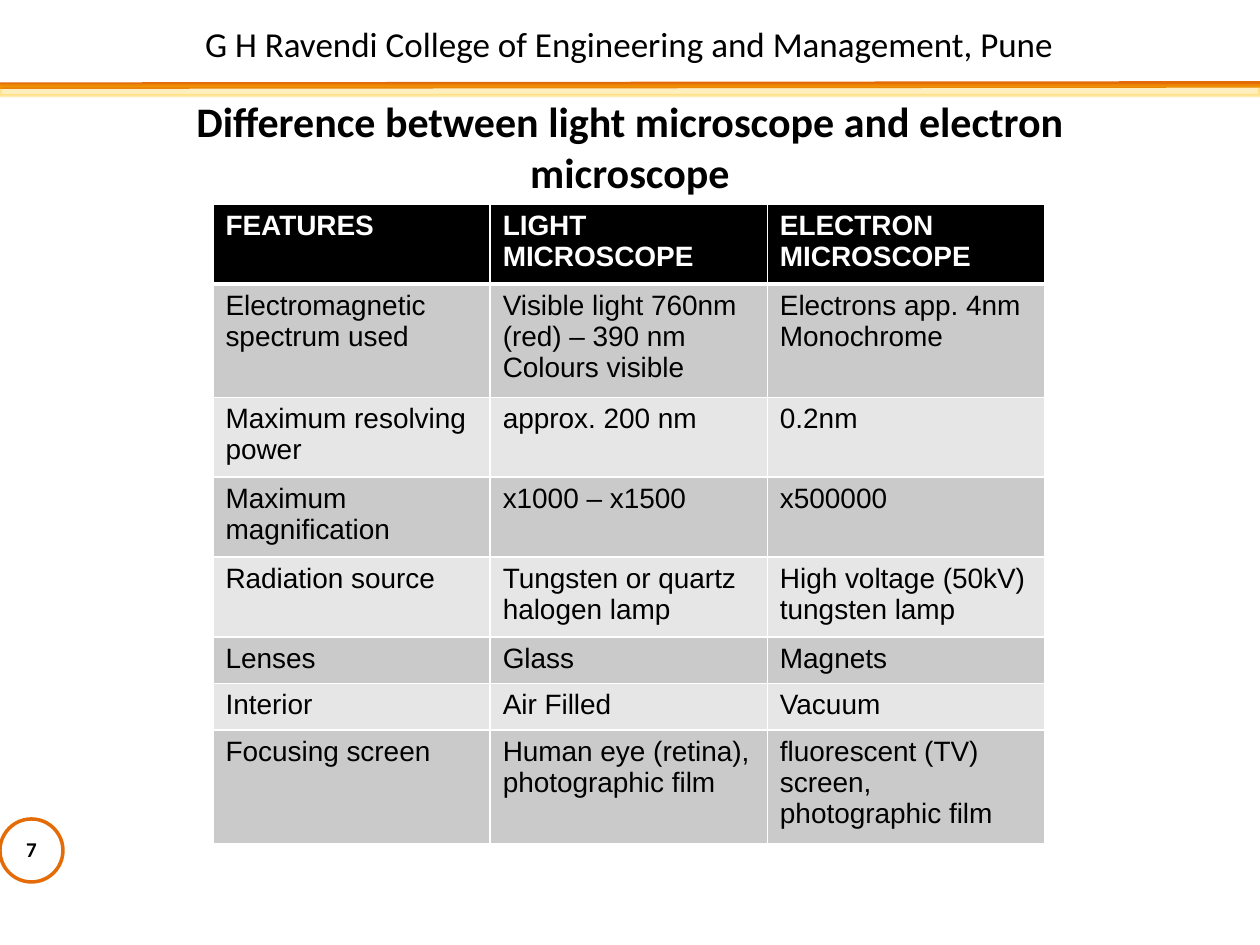
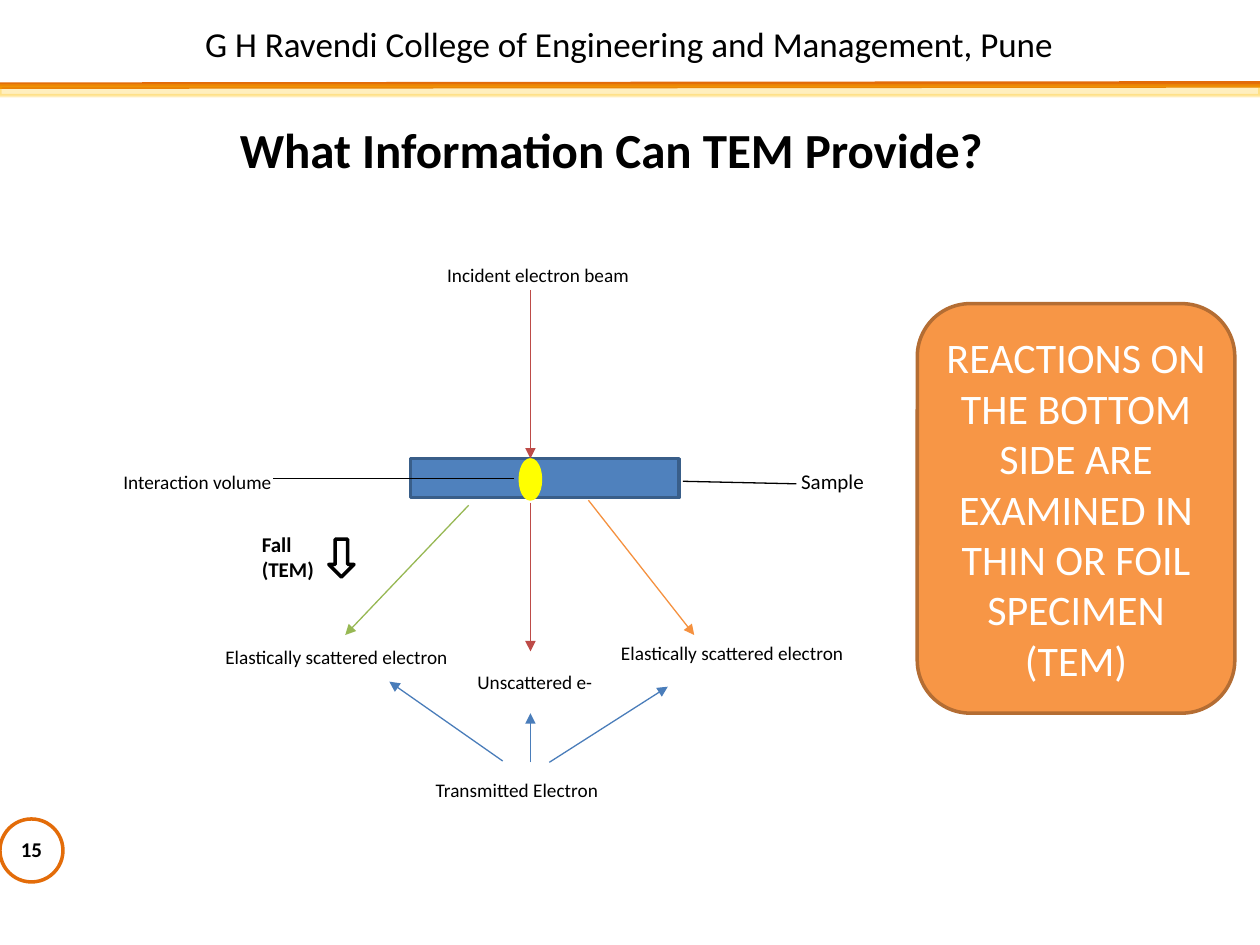
from lxml.etree import SubElement
from pptx import Presentation
from pptx.dml.color import RGBColor
from pptx.enum.shapes import MSO_CONNECTOR, MSO_SHAPE
from pptx.enum.text import MSO_ANCHOR, PP_ALIGN
from pptx.oxml.ns import qn
from pptx.util import Inches, Pt

BLACK = RGBColor(0x00, 0x00, 0x00)
WHITE = RGBColor(0xFF, 0xFF, 0xFF)
RUST = RGBColor(0xE3, 0x6C, 0x09)
GOLD = RGBColor(0xFF, 0xC0, 0x00)
YELLOW = RGBColor(0xFF, 0xFF, 0x00)
BLUE = RGBColor(0x4F, 0x81, 0xBD)
NAVY = RGBColor(0x39, 0x5E, 0x89)
SKY = RGBColor(0x4A, 0x7D, 0xBA)
RED = RGBColor(0xBD, 0x4B, 0x48)
GREEN = RGBColor(0x97, 0xB8, 0x53)
AMBER = RGBColor(0xF5, 0x91, 0x3F)
ORANGE = RGBColor(0xF7, 0x96, 0x46)
BROWN = RGBColor(0xB4, 0x6D, 0x33)
DARK = RGBColor(0xCA, 0xCA, 0xCA)
LIGHT = RGBColor(0xE6, 0xE6, 0xE6)

BODY = {"name": "Calibri", "size": Pt(11), "bold": False}
NOTE = BODY | {"size": Pt(12)}
STRONG = NOTE | {"bold": True}
BANNER = BODY | {"size": Pt(20)}
TITLE = BODY | {"size": Pt(24), "bold": True}
CALL = BODY | {"size": Pt(24)}
CELL = {"name": "Arial", "size": Pt(16), "bold": False}

COLLEGE = "G H Ravendi College of Engineering and Management, Pune"

ROWS = [
    ("FEATURES", "LIGHT MICROSCOPE", "ELECTRON MICROSCOPE"),
    ("Electromagnetic spectrum used",
     "Visible light 760nm (red) – 390 nm Colours visible",
     "Electrons app. 4nm Monochrome"),
    ("Maximum resolving power", "approx. 200 nm", "0.2nm"),
    ("Maximum magnification", "x1000 – x1500", "x500000"),
    ("Radiation source", "Tungsten or quartz halogen lamp",
     "High voltage (50kV) tungsten lamp"),
    ("Lenses", "Glass", "Magnets"),
    ("Interior", "Air Filled", "Vacuum"),
    ("Focusing screen", "Human eye (retina), photographic film",
     "fluorescent (TV) screen, photographic film"),
]
HEIGHTS = [0.62, 0.9, 0.63, 0.63, 0.63, 0.37, 0.37, 0.9]

BEAM = 4.21
RAYS = [
    ((BEAM, 2.3), (BEAM, 3.64), RED),
    ((BEAM, 3.99), (BEAM, 5.17), RED),
    ((4.67, 3.97), (5.51, 5.04), AMBER),
    ((3.72, 4.01), (2.74, 5.04), GREEN),
    ((BEAM, 6.05), (BEAM, 5.66), SKY),
    ((3.99, 6.04), (3.09, 5.41), SKY),
    ((4.36, 6.05), (5.3, 5.45), SKY),
]
LEADS = [((4.08, 3.8), (2.17, 3.8)), ((5.42, 3.82), (6.32, 3.84))]
LABELS = [
    ("Transmitted Electron", (3.36, 6.13, 1.71, 0.29), BODY),
    ("Unscattered e-", (3.69, 5.27, 1.34, 0.29), BODY),
    ("Elastically scattered electron", (4.83, 5.04, 2.39, 0.29), BODY),
    ("Elastically scattered electron", (1.69, 5.07, 2.44, 0.29), BODY),
    ("Sample", (6.26, 3.67, 1.34, 0.3), NOTE),
    ("Incident electron beam", (3.45, 2.04, 2.44, 0.29), BODY),
    ("Interaction volume", (0.88, 3.68, 1.42, 0.29), BODY),
    ("Fall (TEM)", (1.98, 4.17, 0.87, 0.5), STRONG),
]


def inches(nums):
    return [Inches(n) for n in nums]


def write(frame, text, fmt, color=BLACK, align=PP_ALIGN.LEFT):
    frame.word_wrap = True
    para = frame.paragraphs[0]
    para.alignment = align
    run = para.add_run()
    run.text = text
    for key, value in fmt.items():
        setattr(run.font, key, value)
    run.font.color.rgb = color


def label(slide, text, box, fmt, align=PP_ALIGN.LEFT):
    frame = slide.shapes.add_textbox(*inches(box)).text_frame
    write(frame, text, fmt, align=align)


def shape(slide, kind, box, fill, edge):
    item = slide.shapes.add_shape(kind, *inches(box))
    item.shadow.inherit = False
    if fill is None:
        item.fill.background()
    else:
        item.fill.solid()
        item.fill.fore_color.rgb = fill
    item.line.color.rgb = edge
    item.line.width = Pt(2)
    return item


def line(slide, start, end, color, width=0.75, arrow=False):
    item = slide.shapes.add_connector(
        MSO_CONNECTOR.STRAIGHT, *inches(start + end))
    item.line.color.rgb = color
    item.line.width = Pt(width)
    if arrow:
        SubElement(item.line._get_or_add_ln(), qn("a:tailEnd"),
                   type="triangle")
    SubElement(item.element.spPr, qn("a:effectLst"))


def fade(item, *shares):
    """Set the opacity, in percent, of the fill and then of the line."""
    for color, share in zip(item.element.iter(qn("a:srgbClr")), shares):
        SubElement(color, qn("a:alpha"), val=str(share * 1000))


def border(cell, widths):
    """Draw white borders; widths maps a side letter to points."""
    props = cell._tc.get_or_add_tcPr()
    for side, width in widths.items():
        edge = SubElement(props, qn(f"a:ln{side}"), w=str(Pt(width)))
        paint = SubElement(edge, qn("a:solidFill"))
        SubElement(paint, qn("a:srgbClr"), val=str(WHITE))


def grid(slide, rows, heights, left, top, width):
    count = len(rows[0])
    table = slide.shapes.add_table(
        len(rows), count,
        *inches((left, top, width * count, sum(heights)))).table
    for col in table.columns:
        col.width = Inches(width)
    for r, texts in enumerate(rows):
        head = r == 0
        table.rows[r].height = Inches(heights[r])
        fill = BLACK if head else DARK if r % 2 else LIGHT
        for c, text in enumerate(texts):
            cell = table.cell(r, c)
            border(cell, {"L": 1, "R": 1, "T": 3 if r == 1 else 1,
                          "B": 3 if head else 1})
            cell.fill.solid()
            cell.fill.fore_color.rgb = fill
            write(cell.text_frame, text, CELL | {"bold": head},
                  WHITE if head else BLACK)


def page(deck, number, title, box, size):
    """Add a slide with the band, page number, college name and title."""
    slide = deck.slides.add_slide(deck.slide_layouts[6])
    line(slide, (0, 0.68), (10, 0.67), RUST, 3.75)
    band = shape(slide, MSO_SHAPE.RECTANGLE, (0, 0.68, 10, 0.08), GOLD, GOLD)
    fade(band, 25, 27)
    shape(slide, MSO_SHAPE.OVAL, (0, 6.5, 0.5, 0.5), None, RUST)
    for text, place, fmt in (
        (str(number), (-0.1, 6.59, 0.7, 0.3), STRONG),
        (COLLEGE, (0.43, 0.13, 9.13, 0.77), BANNER),
        (title, box, TITLE | {"size": Pt(size)}),
    ):
        label(slide, text, place, fmt, PP_ALIGN.CENTER)
    return slide


def compare(deck):
    slide = page(deck, 7,
                 "Difference between light microscope and electron microscope",
                 (1.43, 0.71, 7.14, 0.91), 24)
    grid(slide, ROWS, HEIGHTS, 1.69, 1.62, 2.2)


def scatter(deck):
    slide = page(deck, 15, "What Information Can TEM Provide?",
                 (1.46, 0.9, 6.78, 0.57), 28)
    shape(slide, MSO_SHAPE.RECTANGLE, (3.26, 3.64, 2.13, 0.31), BLUE, NAVY)
    shape(slide, MSO_SHAPE.OVAL, (4.13, 3.65, 0.16, 0.31), YELLOW, YELLOW)
    for start, end, color in RAYS:
        line(slide, start, end, color, arrow=True)
    for start, end in LEADS:
        line(slide, start, end, BLACK)
    shape(slide, MSO_SHAPE.DOWN_ARROW, (2.61, 4.28, 0.2, 0.3), WHITE, BLACK)
    for text, box, fmt in LABELS:
        label(slide, text, box, fmt)
    call = shape(slide, MSO_SHAPE.ROUNDED_RECTANGLE,
                 (7.28, 2.41, 2.52, 3.25), ORANGE, BROWN)
    call.text_frame.vertical_anchor = MSO_ANCHOR.MIDDLE
    write(call.text_frame,
          "REACTIONS ON THE BOTTOM SIDE ARE EXAMINED IN THIN OR FOIL "
          "SPECIMEN (TEM)", CALL, WHITE, PP_ALIGN.CENTER)


def main():
    deck = Presentation()
    deck.slide_width, deck.slide_height = inches((10, 7.5))
    compare(deck)
    scatter(deck)
    deck.save("out.pptx")


if __name__ == "__main__":
    main()
